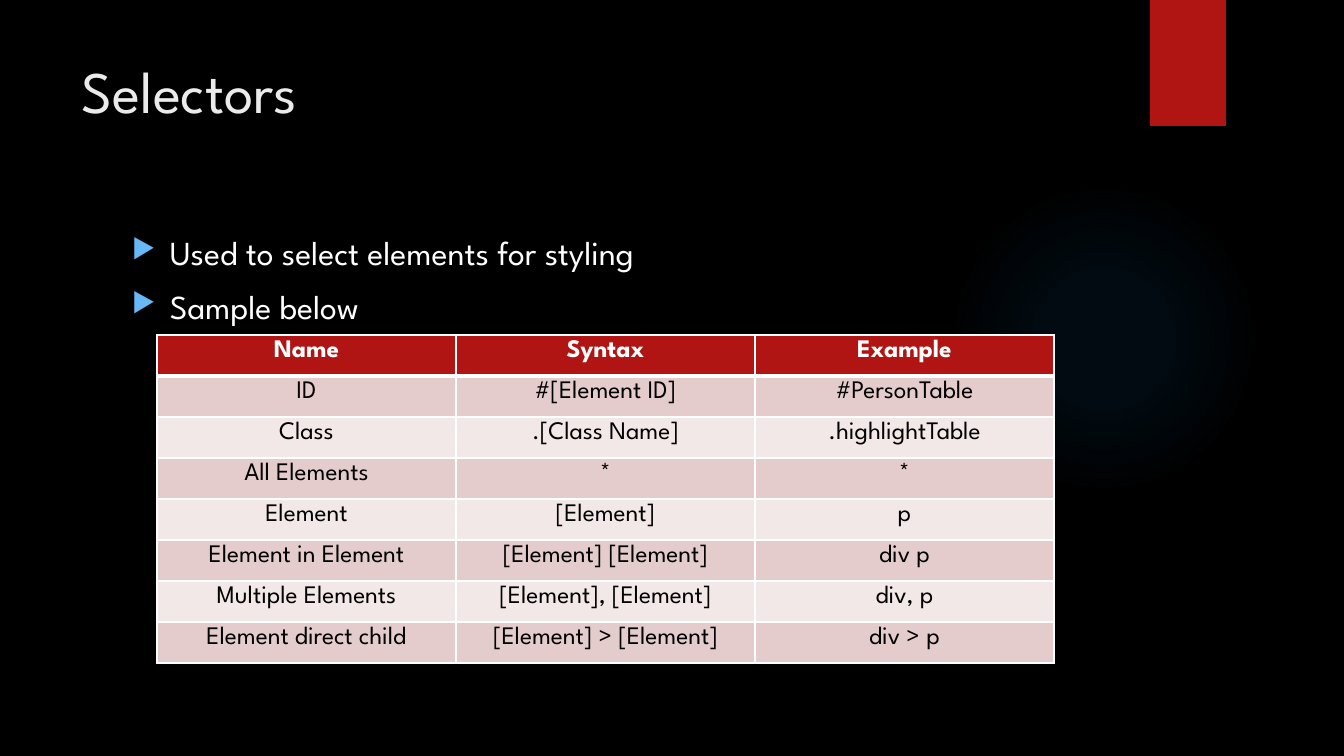
from lxml import etree
from pptx import Presentation
from pptx import util as u
from pptx.dml.color import RGBColor
from pptx.enum import shapes, text
from pptx.oxml import parse_xml
from pptx.oxml.ns import nsdecls, qn

COLORS = {
    "background": "000000",
    "accent": "B01513",
    "title": "EBEBEB",
    "light": "FFFFFF",
    "dark": "000000",
    "bullet": "67B8F6",
    "glow": "1C95F2",
    "odd": "E4CCCC",
    "even": "F2E8E7",
}
FONT = "League Spartan"
PX_PER_INCH = 100.8

SELECTORS = [
    ("Name", "Syntax", "Example"),
    ("ID", "#[Element ID]", "#PersonTable"),
    ("Class", ".[Class Name]", ".highlightTable"),
    ("All Elements", "*", "*"),
    ("Element", "[Element]", "p"),
    ("Element in Element", "[Element] [Element]", "div p"),
    ("Multiple Elements", "[Element], [Element]", "div, p"),
    ("Element direct child", "[Element] > [Element]", "div > p"),
]


def px(length):
    return u.Emu(round(length * 914400 / PX_PER_INCH))


def rgb(name):
    return RGBColor.from_string(COLORS[name])


def write(paragraph, content, size=18, color="light", bold=False, align=None, before=0):
    run = paragraph.add_run()
    run.text = content
    run.font.name = FONT
    run.font.size = u.Pt(size)
    run.font.bold = bold
    run.font.color.rgb = rgb(color)
    paragraph.alignment = align
    paragraph.space_before = u.Pt(before)


class Deck:
    def __init__(self, width, height):
        self.presentation = Presentation()
        self.presentation.slide_width = px(width)
        self.presentation.slide_height = px(height)
        self.slide = self.presentation.slides.add_slide(self.presentation.slide_layouts[6])
        background = self.slide.background.fill
        background.solid()
        background.fore_color.rgb = rgb("background")

    def shape(self, preset, box, color):
        shape = self.slide.shapes.add_shape(preset, *map(px, box))
        shape.shadow.inherit = False
        shape.fill.solid()
        shape.fill.fore_color.rgb = rgb(color)
        shape.line.fill.background()
        return shape

    def glow(self, box, stops):
        properties = self.shape(shapes.MSO_SHAPE.OVAL, box, "glow")._element.spPr
        stop_xml = "".join(
            f'<a:gs pos="{position * 1000}"><a:srgbClr val="{COLORS["glow"]}">'
            f'<a:alpha val="{alpha * 1000}"/></a:srgbClr></a:gs>'
            for position, alpha in stops
        )
        gradient = parse_xml(
            f'<a:gradFill {nsdecls("a")} rotWithShape="1"><a:gsLst>{stop_xml}</a:gsLst>'
            '<a:path path="circle"><a:fillToRect l="50000" t="50000" r="50000" b="50000"/>'
            "</a:path></a:gradFill>"
        )
        properties.replace(properties.find(qn("a:solidFill")), gradient)

    def text_box(self, box):
        frame = self.slide.shapes.add_textbox(*map(px, box)).text_frame
        frame.word_wrap = True
        frame.vertical_anchor = text.MSO_ANCHOR.TOP
        return frame

    def title(self, content, box):
        write(self.text_box(box).paragraphs[0], content, size=42, color="title")

    def bullets(self, items, box, indent):
        frame = self.text_box(box)
        for index, item in enumerate(items):
            paragraph = frame.add_paragraph() if index else frame.paragraphs[0]
            write(paragraph, item, size=24, before=10)
            properties = paragraph._p.get_or_add_pPr()
            properties.set("marL", str(px(indent)))
            properties.set("indent", str(-px(indent)))
            color = etree.SubElement(properties, qn("a:buClr"))
            etree.SubElement(color, qn("a:srgbClr"), val=COLORS["bullet"])
            etree.SubElement(properties, qn("a:buSzPct"), val="80000")
            etree.SubElement(properties, qn("a:buChar"), char="▶")

    def border(self, cell, **widths):
        properties = cell._tc.get_or_add_tcPr()
        for side in "LRTB":
            width = u.Pt(widths.get(side, 1))
            line = etree.SubElement(properties, qn(f"a:ln{side}"), w=str(width))
            fill = etree.SubElement(line, qn("a:solidFill"))
            etree.SubElement(fill, qn("a:srgbClr"), val=COLORS["light"])

    def table(self, rows, left, top, column_width, row_height):
        size = len(rows), len(rows[0])
        box = left, top, size[1] * column_width, size[0] * row_height
        table = self.slide.shapes.add_table(*size, *map(px, box)).table
        for row_index, row in enumerate(rows):
            header = row_index == 0
            fill = "accent" if header else ("even", "odd")[row_index % 2]
            widths = {0: {"B": 3}, 1: {"T": 3}}.get(row_index, {})
            for column_index, content in enumerate(row):
                cell = table.cell(row_index, column_index)
                self.border(cell, **widths)
                cell.fill.solid()
                cell.fill.fore_color.rgb = rgb(fill)
                write(cell.text_frame.paragraphs[0], content, bold=header,
                      color="light" if header else "dark", align=text.PP_ALIGN.CENTER)


def main():
    deck = Deck(1344, 756)
    deck.glow((949, 184, 310, 310), [(0, 7), (36, 6), (69, 0)])
    deck.shape(shapes.MSO_SHAPE.RECTANGLE, (1150, 0, 76, 126), "accent")
    deck.title("Selectors", (72, 50, 1037, 154))
    deck.bullets(["Used to select elements for styling", "Sample below"],
                 (122, 227, 986, 463), indent=38)
    deck.table(SELECTORS, 157, 335, column_width=299, row_height=41)
    deck.presentation.save("out.pptx")


if __name__ == "__main__":
    main()
